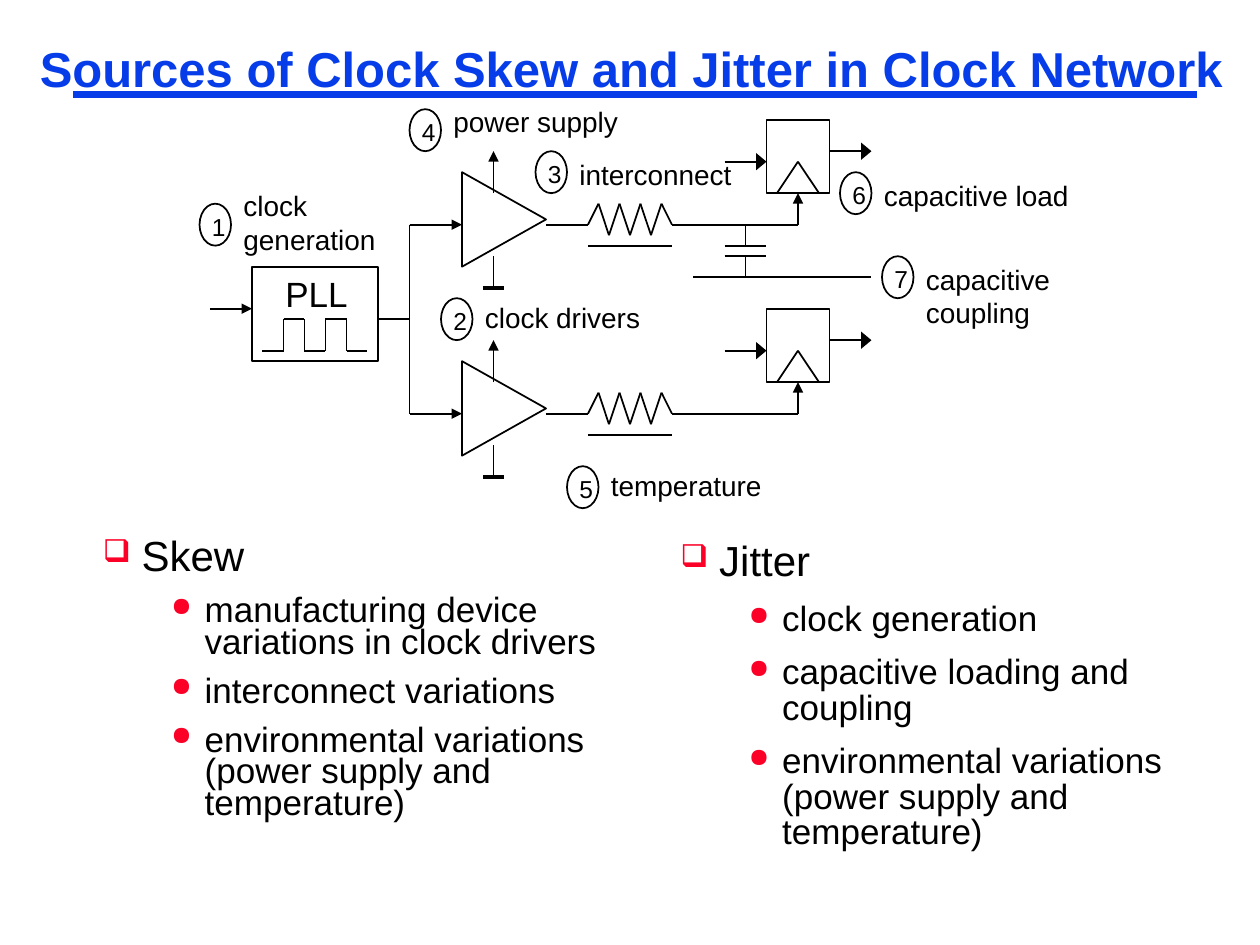
from itertools import pairwise

from lxml import etree
from pptx import Presentation
from pptx.dml.color import RGBColor
from pptx.enum.shapes import MSO_CONNECTOR, MSO_SHAPE
from pptx.oxml.ns import qn
from pptx.util import Pt

STRAIGHT = MSO_CONNECTOR.STRAIGHT
RECTANGLE, TRIANGLE, OVAL = MSO_SHAPE.RECTANGLE, MSO_SHAPE.ISOSCELES_TRIANGLE, MSO_SHAPE.OVAL

PX = 7620  # 120 px to the inch
FONT = "Arial"
COLORS = {"ink": "000000", "title": "063DE8", "bullet": "FC0128"}

CALLOUTS = [  # number, circle left and top, label, label width, label rise
    (1, 190, 194, "clock generation", 160, 20),
    (2, 420, 284, "clock drivers", 200, 4),
    (3, 510, 144, "interconnect", 200, 0),
    (4, 390, 104, "power supply", 200, 10),
    (5, 540, 444, "temperature", 200, 4),
    (6, 800, 164, "capacitive load", 240, 0),
    (7, 840, 244, "capacitive coupling", 200, 0),
]
SKEW = [
    "manufacturing device variations in clock drivers",
    "interconnect variations",
    "environmental variations (power supply and temperature)",
]
JITTER = [
    "clock generation",
    "capacitive loading and coupling",
    "environmental variations (power supply and temperature)",
]


def px(*lengths):
    return [length * PX for length in lengths]


def rgb(name):
    return RGBColor.from_string(COLORS[name])


def wire(shapes, origin, points, weight=1, color="ink", arrow=None):
    """Join points, given relative to origin; arrow is the width of a head at the last one."""
    left, top = origin
    for (x1, y1), (x2, y2) in pairwise(points):
        connector = shapes.add_connector(
            STRAIGHT, *px(left + x1, top + y1, left + x2, top + y2))
        connector.line.color.rgb = rgb(color)
        connector.line.width = Pt(weight)
        etree.SubElement(connector._element.spPr, qn("a:effectLst"))
    if arrow:
        etree.SubElement(connector.line._get_or_add_ln(), qn("a:tailEnd"),
                         type="triangle", w=arrow, len="med")


def outline(shapes, preset, left, top, width, height):
    shape = shapes.add_shape(preset, *px(left, top, width, height))
    shape.shadow.inherit = False
    shape.fill.background()
    shape.line.color.rgb = rgb("ink")
    shape.line.width = Pt(1)
    return shape


def text_frame(shapes, box, inset, wrap=True):
    frame = shapes.add_textbox(*px(*box)).text_frame
    frame.word_wrap = wrap
    frame.margin_left = frame.margin_right = inset[0] * PX
    frame.margin_top = frame.margin_bottom = inset[1] * PX
    return frame


def write(paragraph, text, size, color="ink", bold=False):
    paragraph.text = text
    font = paragraph.font
    font.name, font.size, font.bold = FONT, Pt(size), bold
    font.color.rgb = rgb(color)


def label(shapes, box, text, size, wrap=True):
    write(text_frame(shapes, box, (12, 6), wrap).paragraphs[0], text, size)


def add_title(shapes, left, top, width, height):
    wire(shapes, (left, top), [(40, 50), (1110, 50)], 4.5, "title")
    paragraph = text_frame(shapes, (left, top, width, height), (8, 4)).paragraphs[0]
    paragraph.line_spacing = 0.87
    write(paragraph, "Sources of Clock Skew and Jitter in Clock Network", 28, "title", True)


def add_generator(shapes, left, top):
    origin = left, top
    outline(shapes, RECTANGLE, left, top, 120, 90)
    wire(shapes, origin, [(-40, 40), (0, 40)], arrow="med")
    label(shapes, (left + 20, top, 83, 53), "PLL", 20, wrap=False)
    high, low = 50, 80
    wire(shapes, origin, [(10, low), (30, low), (30, high), (50, high), (50, low),
                          (70, low), (70, high), (90, high), (90, low), (110, low)])
    wire(shapes, origin, [(120, 50), (150, 50)])


def add_driver(shapes, left, top):
    """Amplifier with supply and ground; left, top is where its input starts."""
    origin = left, top
    wire(shapes, origin, [(0, 0), (50, 0)], arrow="med")
    outline(shapes, TRIANGLE, left + 45, top - 45, 90, 80).rotation = 90
    wire(shapes, origin, [(80, -30), (80, -70)], arrow="med")
    wire(shapes, origin, [(70, 60), (90, 60)], weight=2.25)
    wire(shapes, origin, [(80, 30), (80, 60)])


def add_interconnect(shapes, left, top):
    origin = left, top
    peaks = [(50 + 10 * i, 10 if i % 2 else -20) for i in range(7)]
    wire(shapes, origin, [(0, 0), (40, 0), *peaks, (120, 0), (160, 0)])
    wire(shapes, origin, [(40, 20), (120, 20)])


def add_register(shapes, left, top):
    origin = left, top
    outline(shapes, RECTANGLE, left, top, 60, 70)
    wire(shapes, origin, [(10, 70), (30, 40), (50, 70)])
    wire(shapes, origin, [(60, 30), (100, 30)], arrow="lg")
    wire(shapes, origin, [(-40, 40), (0, 40)], arrow="lg")
    wire(shapes, origin, [(-50, 100), (30, 100), (30, 70)], arrow="med")


def add_branch(shapes, left, top):
    add_driver(shapes, left, top)
    add_interconnect(shapes, left + 130, top)
    add_register(shapes, left + 340, top - 100)


def add_coupling(shapes, left, top):
    """Capacitor from the wire above down to a neighbouring line."""
    for points in ([(0, 50), (170, 50)], [(30, 20), (70, 20)], [(30, 30), (70, 30)],
                   [(50, 0), (50, 20)], [(50, 30), (50, 50)]):
        wire(shapes, (left, top), points)


def add_callout(shapes, number, left, top, text, width, rise):
    badge = shapes.add_group_shape().shapes
    label(badge, (left, top + 2, 40, 41), str(number), 14)
    outline(badge, OVAL, left, top, 30, 40)
    label(shapes, (left + 30, top - rise, width, 44), text, 16)


def add_bullet(paragraph, mark, margin, hanging):
    properties = paragraph._p.get_or_add_pPr()
    properties.set("marL", str(margin * PX))
    properties.set("indent", str(-hanging * PX))
    color = etree.SubElement(properties, qn("a:buClr"))
    etree.SubElement(color, qn("a:srgbClr"), val=COLORS["bullet"])
    etree.SubElement(properties, qn("a:buSzPct"), val="75000")
    etree.SubElement(properties, qn("a:buChar"), char=mark)


def add_list(shapes, box, heading, items, heading_spacing, item_spacing):
    frame = text_frame(shapes, box, (8, 4))
    paragraph = frame.paragraphs[0]
    add_bullet(paragraph, "❑", 37, 37)
    paragraph.line_spacing = heading_spacing
    write(paragraph, heading, 24)
    for item in items:
        paragraph = frame.add_paragraph()
        paragraph.level = 1
        add_bullet(paragraph, "●", 97, 32)
        paragraph.line_spacing = item_spacing
        paragraph.space_before = Pt(10)
        write(paragraph, item, 20)


def main():
    presentation = Presentation()
    presentation.slide_width, presentation.slide_height = px(1200, 900)
    shapes = presentation.slides.add_slide(presentation.slide_layouts[6]).shapes

    add_title(shapes, 30, 40, 1150, 55)
    add_generator(shapes, 240, 254)
    wire(shapes, (390, 214), [(0, 0), (0, 180)])
    for top in (214, 394):
        add_branch(shapes, 390, top)
    add_coupling(shapes, 660, 214)
    for callout in CALLOUTS:
        add_callout(shapes, *callout)
    add_list(shapes, (90, 510, 490, 304), "Skew", SKEW, 0.8, 0.75)
    add_list(shapes, (640, 510, 490, 304), "Jitter", JITTER, 0.9, 0.85)
    presentation.save("out.pptx")


if __name__ == "__main__":
    main()
